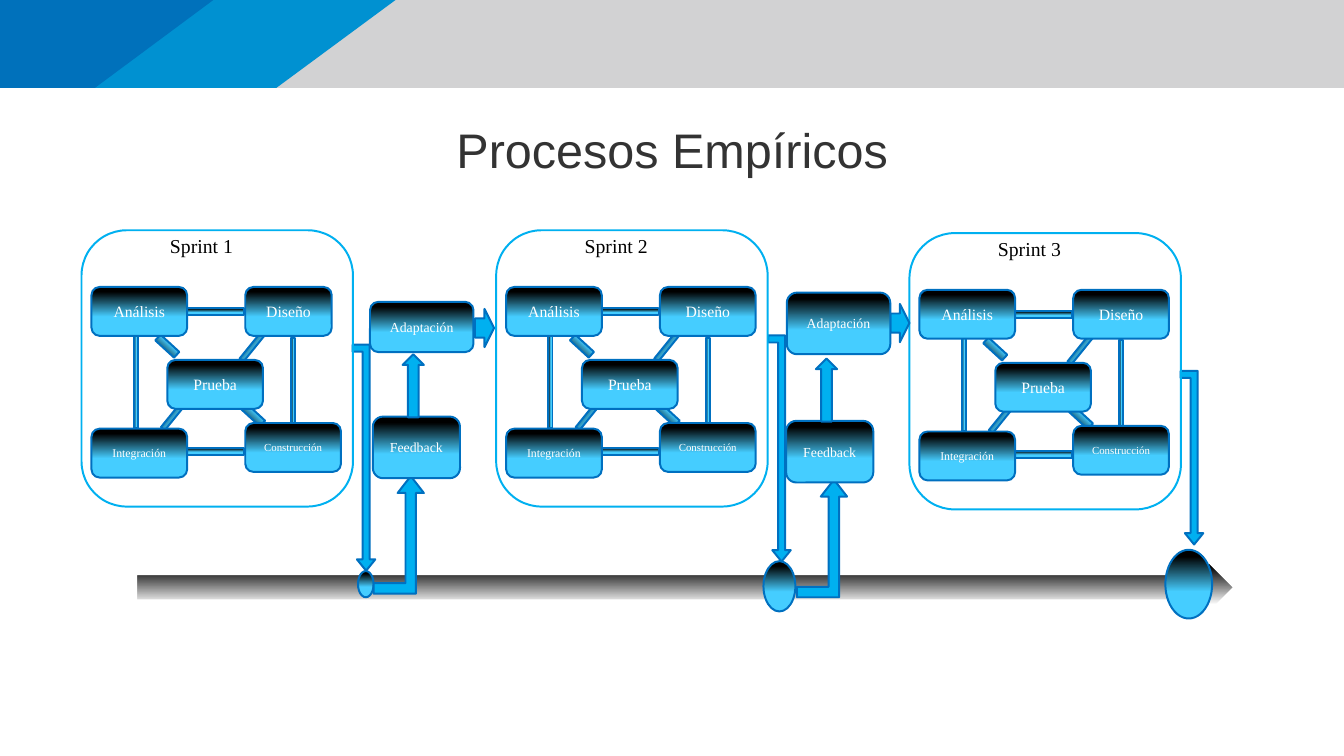
from pptx import Presentation
from pptx.dml.color import RGBColor
from pptx.enum.shapes import MSO_SHAPE
from pptx.enum.text import MSO_ANCHOR, PP_ALIGN
from pptx.util import Inches, Pt

RECT, ROUND, OVAL = MSO_SHAPE.RECTANGLE, MSO_SHAPE.ROUNDED_RECTANGLE, MSO_SHAPE.OVAL
RIGHT, UP = MSO_SHAPE.RIGHT_ARROW, MSO_SHAPE.UP_ARROW
BENT, BENT_UP = MSO_SHAPE.BENT_ARROW, MSO_SHAPE.BENT_UP_ARROW
MIDDLE, CENTER, LEFT = MSO_ANCHOR.MIDDLE, PP_ALIGN.CENTER, PP_ALIGN.LEFT

WHITE = RGBColor(0xFF, 0xFF, 0xFF)
BLACK = RGBColor(0x00, 0x00, 0x00)
TITLE_GRAY = RGBColor(0x33, 0x33, 0x33)
BAND_GRAY = RGBColor(0xD2, 0xD2, 0xD3)
BAND_BLUE = RGBColor(0x00, 0x91, 0xD1)
BAND_DARK = RGBColor(0x00, 0x71, 0xBB)
SKY = RGBColor(0x00, 0xB0, 0xF0)
CYAN = RGBColor(0x45, 0xCD, 0xFF)
EDGE = RGBColor(0x00, 0x70, 0xC0)

SERIF, SANS = "Times New Roman", "Arial"
NODE_FILL = ((0.39, CYAN), (0.9, BLACK))
TIMELINE_FILL = ((0.17, WHITE), (0.9, BLACK))

# Parts of a sprint, measured from the corner of its frame
LINKS = [  # left, top, width, height, rotation
    (2.24, 2.55, 0.36, 0.11, 222.6), (1.03, 1.58, 0.36, 0.11, 222.6),
    (1.05, 2.56, 0.53, 0.07, 309), (2.16, 1.59, 0.53, 0.07, 309),
    (1.49, 1.1, 0.8, 0.1, 0), (1.49, 3.07, 0.8, 0.1, 0),
    (0.11, 2.11, 1.31, 0.06, 270), (2.38, 2.09, 1.21, 0.06, 270),
]
NODES = [  # text, left, top, font size
    ("Análisis", 0.14, 0.8, 16), ("Integración", 0.14, 2.8, 12),
    ("Diseño", 2.31, 0.8, 16), ("Construcción", 2.31, 2.72, 11),
    ("Prueba", 1.21, 1.83, 16),
]


class Deck:
    def __init__(self, width, height):
        self.prs = Presentation()
        self.prs.slide_width, self.prs.slide_height = Inches(width), Inches(height)
        self.slide = self.prs.slides.add_slide(self.prs.slide_layouts[5])

    def set_text(self, sp, text, size, color, font=SERIF, align=CENTER):
        tf = sp.text_frame
        tf.word_wrap = True
        tf.text = text
        p = tf.paragraphs[0]
        p.alignment = align
        r = p.runs[0]
        r.font.size, r.font.name = Pt(size), font
        r.font.color.rgb = color
        return tf

    def title(self, text, box, size):
        sp = self.slide.shapes.title
        sp.left, sp.top, sp.width, sp.height = map(Inches, box)
        tf = self.set_text(sp, text, size, TITLE_GRAY, SANS)
        tf.margin_left = tf.margin_right = tf.margin_top = tf.margin_bottom = 0
        tf.vertical_anchor = MIDDLE

    def band(self, points, color):
        first, *rest = [(Inches(x), Inches(y)) for x, y in points]
        builder = self.slide.shapes.build_freeform(*first)
        builder.add_line_segments(rest, close=True)
        sp = builder.convert_to_shape()
        sp.shadow.inherit = False
        sp.fill.solid()
        sp.fill.fore_color.rgb = color
        sp.line.fill.background()

    def shape(self, kind, box, fill=None, line=EDGE, rotation=0, adjust=()):
        """fill is None, one colour, or a tuple of gradient stops from the bottom up."""
        sp = self.slide.shapes.add_shape(kind, *map(Inches, box))
        sp.shadow.inherit = False
        sp.rotation = rotation
        for i, value in enumerate(adjust):
            sp.adjustments[i] = value
        if fill is None:
            sp.fill.background()
        elif isinstance(fill, RGBColor):
            sp.fill.solid()
            sp.fill.fore_color.rgb = fill
        else:
            sp.fill.gradient()
            sp.fill.gradient_angle = 90
            for stop, (position, color) in zip(sp.fill.gradient_stops, fill):
                stop.position, stop.color.rgb = position, color
        sp.line.color.rgb = line
        sp.line.width = Pt(2)
        return sp

    def node(self, text, box, size):
        sp = self.shape(ROUND, box, NODE_FILL)
        self.set_text(sp, text, size, WHITE).vertical_anchor = MIDDLE

    def label(self, text, box, size):
        sp = self.slide.shapes.add_textbox(*map(Inches, box))
        self.set_text(sp, text, size, BLACK, align=LEFT)

    def sprint(self, number, x, y):
        for dx, dy, w, h, rotation in LINKS:
            self.shape(RECT, (x + dx, y + dy, w, h), NODE_FILL, rotation=rotation)
        for text, dx, dy, size in NODES:
            width = 1.22 if (number, text) == (1, "Diseño") else 1.35
            self.node(text, (x + dx, y + dy, width, 0.69), size)
        self.shape(ROUND, (x, y, 3.83, 3.9), line=SKY)
        self.label(f"Sprint {number}", (x + 1.15, y, 1.33, 0.84), 20)


def main():
    deck = Deck(18.96, 10.67)

    # Header bands and title
    deck.band([(0, 0), (18.96, 0), (18.96, 1.24), (0, 1.24)], BAND_GRAY)
    deck.band([(0, 0), (5.58, 0), (3.9, 1.24), (0, 1.24)], BAND_BLUE)
    deck.band([(0, 0), (3.01, 0), (1.34, 1.24), (0, 1.24)], BAND_DARK)
    deck.title("Procesos Empíricos", (6.07, 1.69, 6.83, 0.83), 49.3)

    # Arrows from each sprint down to the timeline
    for x, y, length in [(15.59, 6.3, 2.45), (9.4, 6.17, 3.19), (3.54, 6.3, 3.19)]:
        deck.shape(BENT, (x, y, length, 0.32), SKY, rotation=90,
                   adjust=(0.309, 0.407, 0.5, 0.004))
    deck.shape(RIGHT, (1.92, 7.92, 15.49, 0.74), TIMELINE_FILL, WHITE)

    # Sprints
    for number, (x, y) in enumerate([(1.15, 3.25), (7, 3.25), (12.83, 3.29)], 1):
        deck.sprint(number, x, y)

    # Milestones on the timeline
    for box in [(5.05, 8.06, 0.22, 0.37), (10.77, 7.92, 0.45, 0.71),
                (16.44, 7.76, 0.66, 0.97)]:
        deck.shape(OVAL, box, NODE_FILL)

    # Feedback and adaptation between sprints
    steps = [  # bent arrow, feedback, adaptation, next-sprint arrow, up arrow
        ((5.27, 6.72), (5.26, 5.88), (5.22, 4.26, 1.46, 0.71), (6.7, 4.36), (5.68, 5)),
        ((11.24, 6.77), (11.09, 5.94), (11.1, 4.13, 1.46, 0.87), (12.56, 4.29), (11.51, 5.06)),
    ]
    for bend, feedback, adaptation, onward, rise in steps:
        deck.shape(BENT_UP, (*bend, 0.71, 1.66), SKY, adjust=(0.208, 0.261, 0.336))
        deck.shape(RIGHT, (*onward, 0.27, 0.54), SKY)
        deck.node("Feedback", (*feedback, 1.23, 0.87), 14)
        deck.node("Adaptación", adaptation, 14)
        deck.shape(UP, (*rise, 0.3, 0.89), SKY)

    deck.prs.save("out.pptx")


if __name__ == "__main__":
    main()
